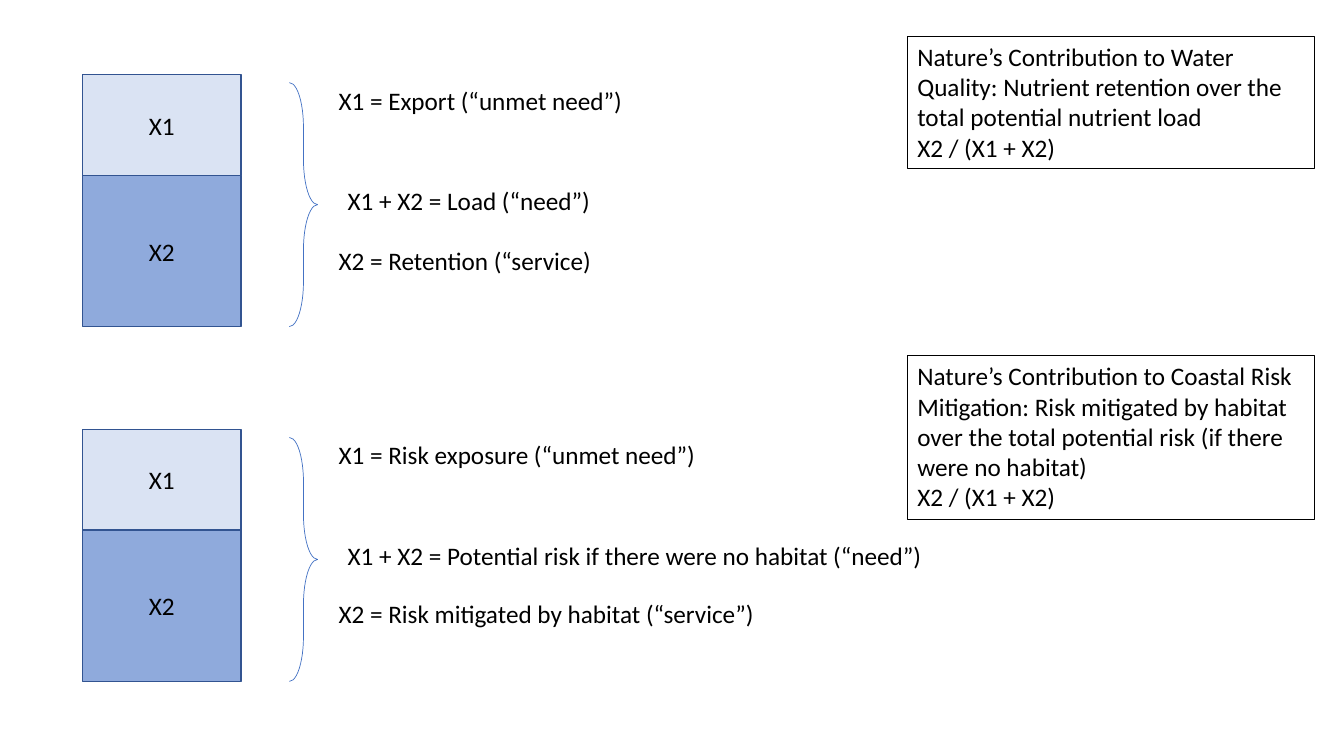
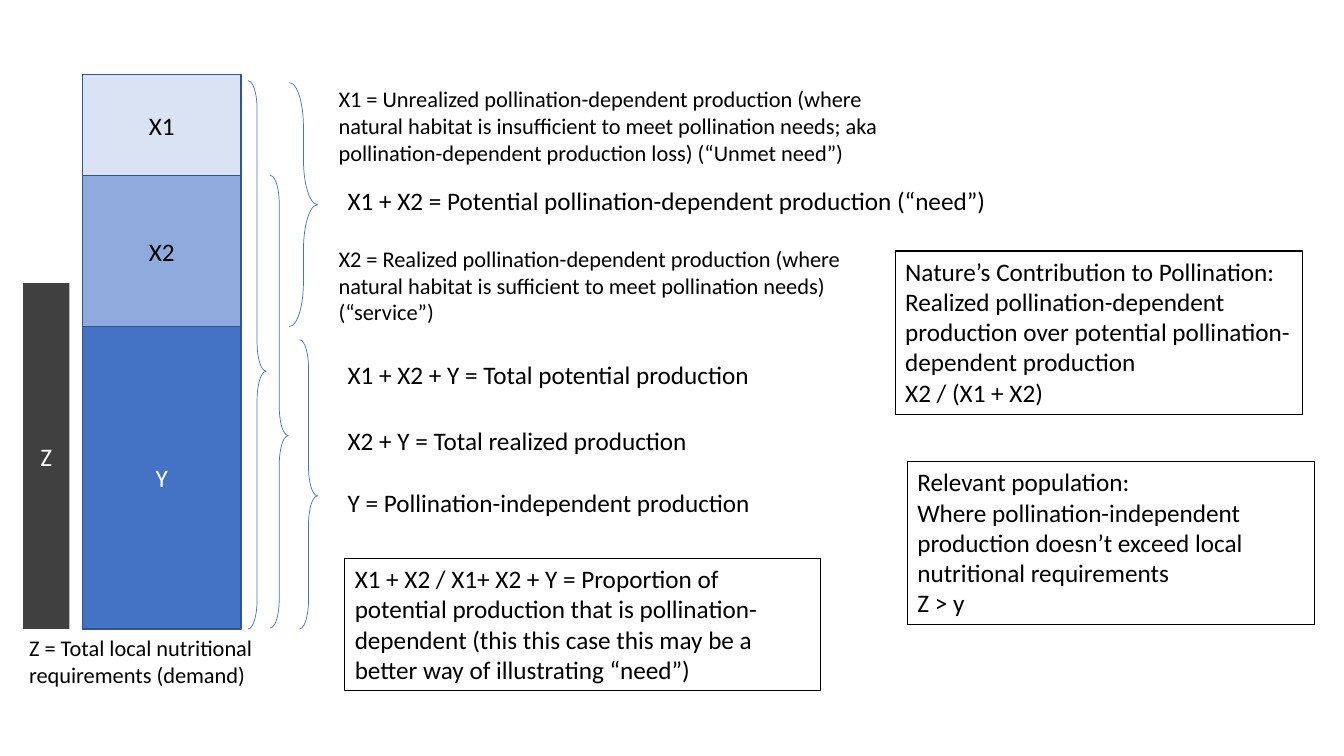
import pptx
import pptx.util
import pptx.dml.color
import pptx.enum.shapes
import pptx.enum.text

Inches, Pt = pptx.util.Inches, pptx.util.Pt
RGB = pptx.dml.color.RGBColor.from_string
SHAPE = pptx.enum.shapes.MSO_SHAPE
ALIGN = pptx.enum.text.PP_ALIGN
ANCHOR = pptx.enum.text.MSO_ANCHOR
FIT = pptx.enum.text.MSO_AUTO_SIZE

COLORS = {
    "X1": "DAE3F3", "X2": "8FAADC", "Y": "4472C4", "Z": "404040",
    "edge": "325491", "brace": "4472C4", "black": "000000", "white": "FFFFFF",
}
BAR_LEFT, BAR_WIDTH = 0.82, 1.57
BAR_HEIGHTS = {"X1": 1, "X2": 1.5, "Y": 3}
PART, SUM = 3.26, 3.35  # left edges of labels for single parts and for sums
NOTE_WIDTH = 4.04


def add_shape(s, kind, at, fill=None, line=None, width=1):
    """Add a preset shape with the given fill and outline, or none."""
    sp = s.shapes.add_shape(kind, *map(Inches, at))
    sp.shadow.inherit = False
    if fill:
        sp.fill.solid()
        sp.fill.fore_color.rgb = RGB(COLORS[fill])
    else:
        sp.fill.background()
    if line:
        sp.line.color.rgb = RGB(COLORS[line])
        sp.line.width = Pt(width)
    else:
        sp.line.fill.background()
    return sp


def write(sp, lines, size=18, color="black", **frame):
    """Write one paragraph per line and apply the text frame settings."""
    tf = sp.text_frame
    settings = {"word_wrap": True, "auto_size": FIT.SHAPE_TO_FIT_TEXT,
                "vertical_anchor": ANCHOR.TOP, **frame}
    for name, value in settings.items():
        setattr(tf, name, value)
    centred = tf.vertical_anchor == ANCHOR.MIDDLE
    for i, line in enumerate(lines):
        p = tf.add_paragraph() if i else tf.paragraphs[0]
        p.alignment = ALIGN.CENTER if centred else ALIGN.LEFT
        r = p.add_run()
        r.text = line
        for name, value in {"name": "Calibri", "size": Pt(size)}.items():
            setattr(r.font, name, value)
        r.font.color.rgb = RGB(COLORS[color])


# bars: top and parts; braces: place and tip position;
# labels: left, top, width, height, size, text; notes: place and lines
slides = [
    {
        "bars": [(0.74, ["X1", "X2"]), (4.26, ["X1", "X2"])],
        "braces": [((2.87, 0.82, 0.28, 2.42), 0.5),
                   ((2.87, 4.34, 0.28, 2.42), 0.5)],
        "labels": [
            (PART, 0.8, 5.64, 0.4, 18, "X1 = Export (“unmet need”)"),
            (SUM, 1.79, 5.95, 0.4, 18, "X1 + X2 = Load (“need”)"),
            (PART, 2.38, 5.64, 0.4, 18, "X2 = Retention (“service)"),
            (PART, 4.31, 5.64, 0.4, 18, "X1 = Risk exposure (“unmet need”)"),
            (SUM, 5.31, 6.33, 0.4, 18,
             "X1 + X2 = Potential risk if there were no habitat (“need”)"),
            (PART, 5.89, 5.64, 0.4, 18,
             "X2 = Risk mitigated by habitat (“service”)"),
        ],
        "notes": [
            ((9, 0.36, NOTE_WIDTH, 1.31), [
                "Nature’s Contribution to Water Quality: Nutrient retention "
                "over the total potential nutrient load",
                "X2 / (X1 + X2)"]),
            ((9, 3.53, NOTE_WIDTH, 1.62), [
                "Nature’s Contribution to Coastal Risk Mitigation: Risk "
                "mitigated by habitat over the total potential risk (if "
                "there were no habitat)",
                "X2 / (X1 + X2)"]),
        ],
    },
    {
        "bars": [(0.74, ["X1", "X2", "Y"])],
        "demand": (0.23, 2.81, 0.46, 3.43),
        "braces": [((2.87, 0.82, 0.28, 2.42), 0.5),
                   ((2.46, 0.8, 0.18, 5.44), 0.53),
                   ((2.68, 1.74, 0.18, 4.49), 0.575),
                   ((2.97, 3.37, 0.18, 2.87), 0.54)],
        "labels": [
            (PART, 0.8, 5.64, 0.91, 16,
             "X1 = Unrealized pollination-dependent production (where natural "
             "habitat is insufficient to meet pollination needs; aka "
             "pollination-dependent production loss) (“Unmet need”)"),
            (SUM, 1.79, 6.72, 0.4, 18,
             "X1 + X2 = Potential pollination-dependent production (“need”)"),
            (PART, 2.38, 5.64, 0.91, 16,
             "X2 = Realized pollination-dependent production (where natural "
             "habitat is sufficient to meet pollination needs) (“service”)"),
            (SUM, 3.52, 4.72, 0.4, 18,
             "X1 + X2 + Y = Total potential production"),
            (SUM, 4.17, 4.72, 0.4, 18, "X2 + Y = Total realized production"),
            (SUM, 4.79, 4.72, 0.4, 18,
             "Y = Pollination-independent production"),
            (0.19, 6.24, 2.66, 0.64, 16,
             "Z = Total local nutritional requirements (demand)"),
        ],
        "notes": [
            ((8.88, 2.49, NOTE_WIDTH, 1.62), [
                "Nature’s Contribution to Pollination:",
                "Realized pollination-dependent production over potential "
                "pollination-dependent production",
                "X2 / (X1 + X2)"]),
            ((9, 4.58, NOTE_WIDTH, 1.62), [
                "Relevant population:",
                "Where pollination-independent production doesn’t exceed "
                "local nutritional requirements",
                "Z > y"]),
            ((3.42, 5.54, 4.72, 1.31), [
                "X1 + X2 / X1+ X2 + Y = Proportion of potential production "
                "that is pollination-dependent (this this case this may be "
                "a better way of illustrating “need”)"]),
        ],
    },
]

prs = pptx.Presentation()
prs.slide_width, prs.slide_height = Inches(13.33), Inches(7.5)

for content in slides:
    s = prs.slides.add_slide(prs.slide_layouts[6])

    blocks = []
    for top, parts in content["bars"]:
        for part in parts:
            height = BAR_HEIGHTS[part]
            blocks.append((part, (BAR_LEFT, top, BAR_WIDTH, height), "edge"))
            top += height
    if "demand" in content:
        blocks.append(("Z", content["demand"], None))
    for part, at, edge in blocks:
        sp = add_shape(s, SHAPE.RECTANGLE, at, part, edge)
        write(sp, [part], color="white" if part in "YZ" else "black",
              vertical_anchor=ANCHOR.MIDDLE, auto_size=FIT.NONE)

    for at, tip in content["braces"]:
        sp = add_shape(s, SHAPE.RIGHT_BRACE, at, line="brace", width=0.5)
        sp.adjustments[0], sp.adjustments[1] = 1.59, tip

    for *at, size, text in content["labels"]:
        write(s.shapes.add_textbox(*map(Inches, at)), [text], size)

    for at, lines in content["notes"]:
        sp = add_shape(s, SHAPE.RECTANGLE, at, line="black", width=0.75)
        write(sp, lines)

prs.save("out.pptx")
